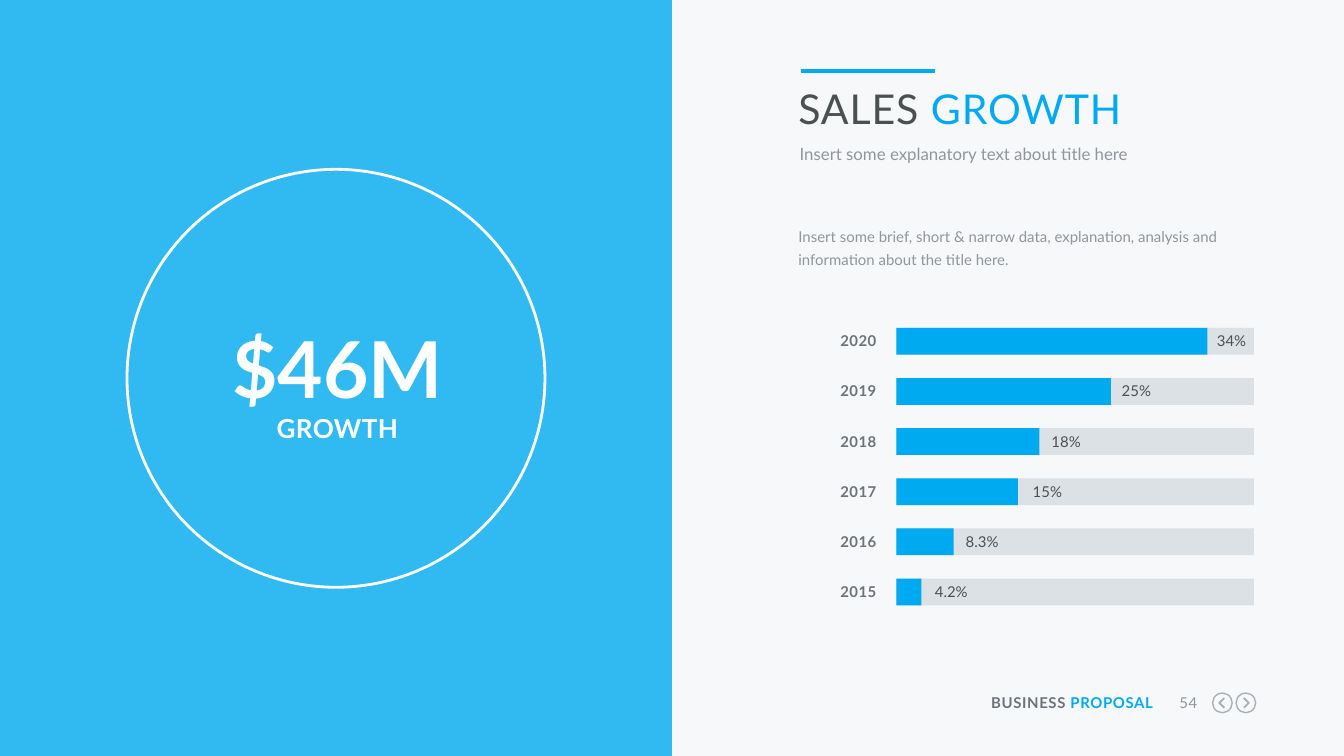
from dataclasses import dataclass
from typing import NamedTuple

from lxml import etree
from pptx import Presentation, util as u
from pptx.dml.color import RGBColor
from pptx.enum import shapes, text
from pptx.oxml.ns import qn

UNIT = u.Inches(0.1)  # grid of 100 columns by 56.25 rows
COLS, ROWS = 100, 56.25
FONT = "Lato"
HEX = {
    "page": "F6F8FA", "blue": "00AAF0", "white": "FFFFFF", "dark": "4B5050",
    "slate": "6E7378", "grey": "91969B", "track": "DCE1E6", "icon": "AAAFB4",
}
LEFT, RIGHT, MID = text.PP_ALIGN.LEFT, text.PP_ALIGN.RIGHT, text.PP_ALIGN.CENTER
RECT, OVAL = shapes.MSO_SHAPE.RECTANGLE, shapes.MSO_SHAPE.OVAL


class Box(NamedTuple):
    col: float
    row: float
    wide: float
    high: float


class Part(NamedTuple):
    words: str
    tint: str


@dataclass
class Style:
    size: float
    bold: bool = False
    track: float = 0
    align: int = LEFT
    lead: object = None


@dataclass
class Bar:
    year: str
    value: str
    share: float
    gap: float


BARS = [
    Bar("2020", "34%", 0.87, 0.7),
    Bar("2019", "25%", 0.6, 0.8),
    Bar("2018", "18%", 0.4, 0.9),
    Bar("2017", "15%", 0.34, 1.1),
    Bar("2016", "8.3%", 0.16, 0.9),
    Bar("2015", "4.2%", 0.07, 1.0),
]
TRACK = Box(66.7, 24.4, 26.6, 2)
STEP = 3.73
YEAR = Style(8, bold=True, track=0.2, align=RIGHT)
VALUE = Style(8)


def grid(n: float) -> int:
    return round(n * UNIT)


def span(box: Box) -> list:
    return [grid(n) for n in box]


def color(name: str) -> RGBColor:
    return RGBColor.from_string(HEX[name])


def fill_text(shape, parts: list, style: Style) -> None:
    """Format the text frame and write its one paragraph."""
    frame = shape.text_frame
    frame.margin_left = frame.margin_right = 0
    frame.margin_top = frame.margin_bottom = 0
    frame.word_wrap = True
    frame.auto_size = text.MSO_AUTO_SIZE.SHAPE_TO_FIT_TEXT
    frame.vertical_anchor = text.MSO_ANCHOR.TOP
    para = frame.paragraphs[0]
    para.alignment = style.align
    if style.lead:
        para.line_spacing = style.lead
    para.font.name = FONT
    para.font.size = u.Pt(style.size)
    para.font.bold = style.bold
    for part in parts:
        run = para.add_run()
        run.text = part.words
        run.font.color.rgb = color(part.tint)
        if style.track:
            run._r.get_or_add_rPr().set("spc", str(round(style.track * 100)))


def add_text(slide, box: Box, parts: list, style: Style) -> None:
    fill_text(slide.shapes.add_textbox(*span(box)), parts, style)


def paint(shape, fill: str = "", line: str = "", width: float = 0) -> None:
    shape.shadow.inherit = False
    if fill:
        shape.fill.solid()
        shape.fill.fore_color.rgb = color(fill)
    else:
        shape.fill.background()
    if line:
        shape.line.color.rgb = color(line)
        shape.line.width = u.Pt(width)
    else:
        shape.line.fill.background()


def add_shape(slide, kind, box: Box, fill: str = "", line: str = "",
              width: float = 0):
    shape = slide.shapes.add_shape(kind, *span(box))
    paint(shape, fill, line, width)
    return shape


def add_panel(slide) -> None:
    """Left half: a see-through blue field with the key figure in a ring."""
    panel = add_shape(slide, RECT, Box(0, 0, COLS / 2, ROWS), "blue")
    tint = panel.fill._xPr.find(qn("a:solidFill"))[0]
    etree.SubElement(tint, qn("a:alpha")).set("val", "80000")
    add_shape(slide, OVAL, Box(9.45, 12.6, 31.1, 31.1), line="white", width=1.5)
    add_text(slide, Box(14.7, 22.4, 20.8, 8.5), [Part("$46M", "white")],
             Style(42, bold=True, align=MID, lead=1.2))
    add_text(slide, Box(14.7, 30.7, 20.8, 2.4), [Part("GROWTH", "white")],
             Style(14, bold=True, track=0.2, align=MID))


def add_head(slide) -> None:
    title = slide.shapes.title
    title.left, title.top, title.width, title.height = span(
        Box(59.4, 6.2, 34, 3.7))
    fill_text(title, [Part("SALES ", "dark"), Part("GROWTH", "blue")],
              Style(22, track=0.5))
    rule = slide.shapes.add_connector(
        shapes.MSO_CONNECTOR.STRAIGHT,
        grid(59.6), grid(5.3), grid(69.6), grid(5.3))
    rule.line.color.rgb = color("blue")
    rule.line.width = u.Pt(2.25)
    etree.SubElement(rule._element.spPr, qn("a:effectLst"))
    add_text(slide, Box(59.5, 10.5, 33.9, 1.7),
             [Part("Insert some explanatory text about title here", "grey")],
             Style(9, lead=u.Pt(12)))
    add_text(slide, Box(59.4, 16.5, 33.9, 3.5),
             [Part("Insert some brief, short & narrow data, explanation, "
                   "analysis and information about the title here.", "grey")],
             Style(8, lead=1.3))


def add_bar(slide, bar: Bar, row: float) -> None:
    back = TRACK._replace(row=row)
    front = back._replace(wide=back.wide * bar.share)
    add_text(slide, Box(59.4, row + 0.3, 5.8, 1.3), [Part(bar.year, "slate")], YEAR)
    add_shape(slide, RECT, back, "track")
    add_shape(slide, RECT, front, "blue")
    add_text(slide, Box(front.col + front.wide + bar.gap, row + 0.3, 2.6, 1.3),
             [Part(bar.value, "dark")], VALUE)


def add_arrow(slide, col: float, way: int) -> None:
    """Ringed chevron centred on col; way is -1 for back, 1 for next."""
    row, ring, half = 52.3, 1.46, 0.36
    add_shape(slide, OVAL, Box(col - ring / 2, row - ring / 2, ring, ring),
              line="icon", width=0.75)
    tail, tip = col - way * 0.15, col + way * 0.22
    pen = slide.shapes.build_freeform(grid(tail), grid(row - half))
    pen.add_line_segments([(grid(tip), grid(row)), (grid(tail), grid(row + half))],
                          close=False)
    paint(pen.convert_to_shape(), line="icon", width=1)


def add_foot(slide) -> None:
    add_text(slide, Box(73.1, 51.6, 12.7, 1.3),
             [Part("BUSINESS ", "slate"), Part("PROPOSAL", "blue")],
             Style(8, bold=True, track=0.3, align=RIGHT))
    add_text(slide, Box(86.8, 51.6, 2.3, 1.3), [Part("54", "grey")],
             Style(8, track=0.3, align=RIGHT))
    for col, way in ((90.95, -1), (92.7, 1)):
        add_arrow(slide, col, way)


def main() -> None:
    deck = Presentation()
    deck.slide_width, deck.slide_height = grid(COLS), grid(ROWS)
    slide = deck.slides.add_slide(deck.slide_layouts[5])
    slide.background.fill.solid()
    slide.background.fill.fore_color.rgb = color("page")
    add_foot(slide)
    add_panel(slide)
    for i, bar in enumerate(BARS):
        add_bar(slide, bar, TRACK.row + i * STEP)
    add_head(slide)
    deck.save("out.pptx")


if __name__ == "__main__":
    main()
